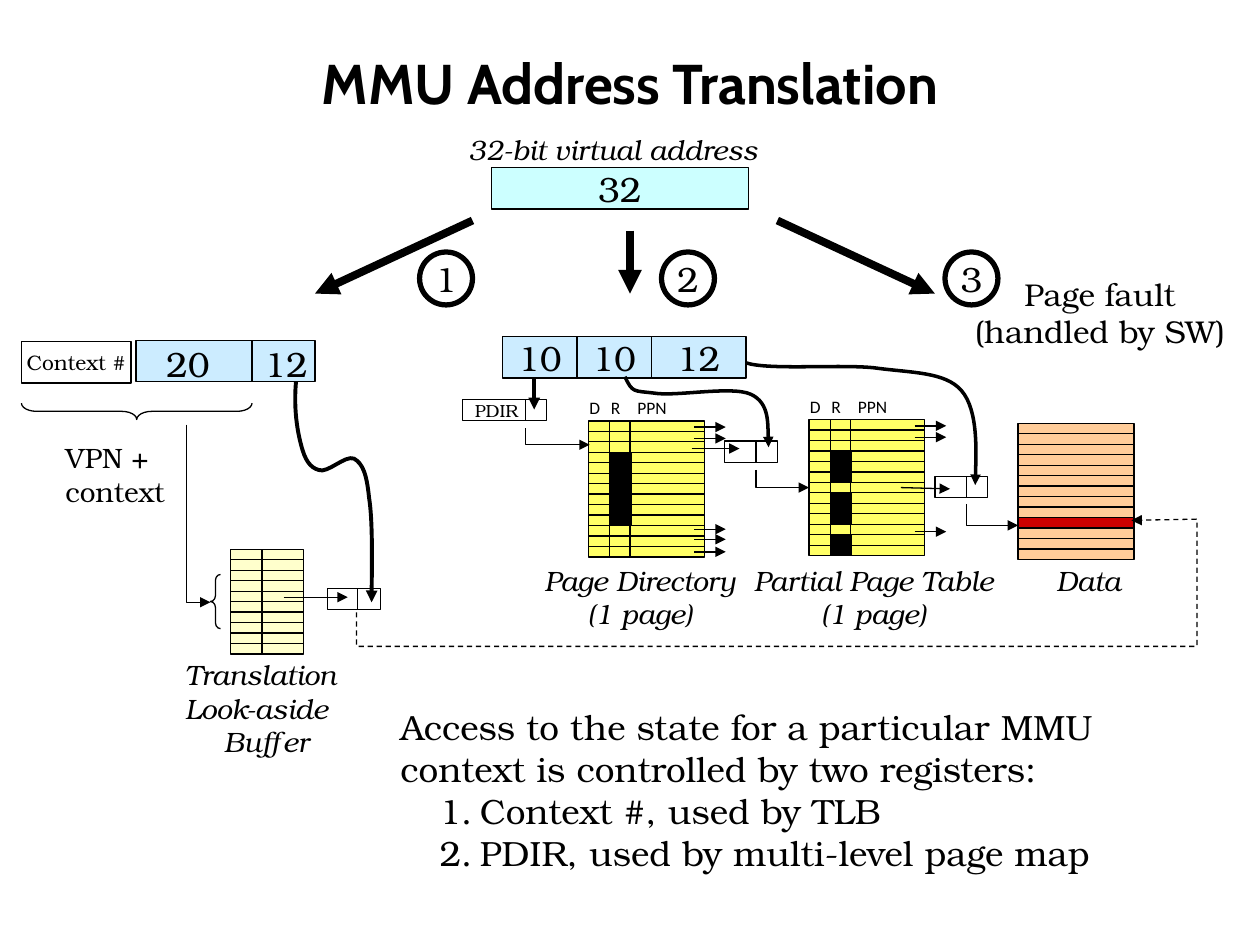
from lxml import etree
from pptx import Presentation
from pptx.dml.color import RGBColor
from pptx.enum.dml import MSO_LINE
from pptx.enum.shapes import MSO_CONNECTOR, MSO_SHAPE as Preset
from pptx.enum.text import MSO_ANCHOR as Anchor, MSO_AUTO_SIZE as AutoSize, PP_ALIGN as Align
from pptx.oxml.ns import qn
from pptx.util import Inches, Pt

SERIF = "TeX Gyre Bonum"
BLACK, WHITE, BLUE, YELLOW = "000000", "FFFFFF", "CCECFF", "FFFF66"
ROW = 1.08 / 13


def color(hex_code):
    """Turn a hex string into a colour."""
    return RGBColor.from_string(hex_code)


def write_text(shape, text, size=20, font=SERIF, bold=False, italic=False,
               align=Align.LEFT, anchor=Anchor.TOP, wrap=False, tabs=(), numbered=False):
    """Fill a shape with lines of text; with numbered, all but the first are list items."""
    frame = shape.text_frame
    frame.word_wrap, frame.vertical_anchor = wrap, anchor
    for index, line in enumerate(text.split("\n")):
        paragraph = frame.add_paragraph() if index else frame.paragraphs[0]
        paragraph.alignment = align
        properties = paragraph._p.get_or_add_pPr()
        if numbered and index:
            properties.set("marL", str(Inches(0.63)))
            properties.set("indent", str(Inches(-0.32)))
            etree.SubElement(properties, qn("a:buAutoNum"), type="arabicPeriod")
        if tabs:
            stops = etree.SubElement(properties, qn("a:tabLst"))
            for stop in tabs:
                etree.SubElement(stops, qn("a:tab"), pos=str(Inches(stop)), algn="l")
        run = paragraph.add_run()
        run.text = line
        run.font.name, run.font.size = font, Pt(size)
        run.font.bold, run.font.italic = bold, italic
        run.font.color.rgb = color(BLACK)


def add_label(slide, text, x, y, w, h, grow=True, **style):
    """Place free-standing text."""
    label = slide.shapes.add_textbox(Inches(x), Inches(y), Inches(w), Inches(h))
    write_text(label, text, **style)
    label.text_frame.auto_size = AutoSize.SHAPE_TO_FIT_TEXT if grow else AutoSize.NONE


def add_box(slide, x, y, w, h, fill=None, text="", kind=Preset.RECTANGLE, weight=0.75, **style):
    """Draw an outlined preset shape, with centred text if given."""
    box = slide.shapes.add_shape(kind, Inches(x), Inches(y), Inches(w), Inches(h))
    box.shadow.inherit = False
    if fill:
        box.fill.solid()
        box.fill.fore_color.rgb = color(fill)
    else:
        box.fill.background()
    box.line.color.rgb, box.line.width = color(BLACK), Pt(weight)
    if text:
        write_text(box, text, **{"align": Align.CENTER, "anchor": Anchor.MIDDLE, **style})
    return box


def add_head(line):
    """Put an arrowhead at the end of a line format."""
    etree.SubElement(line._get_or_add_ln(), qn("a:tailEnd"), type="triangle")


def add_line(slide, x1, y1, x2, y2, weight=0.75, arrow=False):
    """Draw a straight line or arrow."""
    line = slide.shapes.add_connector(
        MSO_CONNECTOR.STRAIGHT, Inches(x1), Inches(y1), Inches(x2), Inches(y2))
    line.line.color.rgb, line.line.width = color(BLACK), Pt(weight)
    etree.SubElement(line._element.spPr, qn("a:effectLst"))
    if arrow:
        add_head(line.line)


def add_route(slide, points, weight=0.75, curved=False, dashed=False):
    """Draw an arrow through points; a curved one takes three per Bezier segment."""
    start, *rest = [(Inches(x), Inches(y)) for x, y in points]
    builder = slide.shapes.build_freeform(*start)
    builder.add_line_segments(rest, close=False)
    route = builder.convert_to_shape()
    route.shadow.inherit = False
    route.fill.background()
    route.line.color.rgb, route.line.width = color(BLACK), Pt(weight)
    if dashed:
        route.line.dash_style = MSO_LINE.DASH
    add_head(route.line)
    if curved:
        steps = list(route._element.iter(qn("a:lnTo")))
        for first in range(0, len(steps), 3):
            bezier = etree.Element(qn("a:cubicBezTo"))
            steps[first].addprevious(bezier)
            for step in steps[first:first + 3]:
                bezier.append(step[0])
                step.getparent().remove(step)


def add_ruled_table(slide, x, y, w, rows, fill, columns=()):
    """Draw a memory table ruled into equal rows, with column rules at given offsets."""
    h = rows * ROW
    add_box(slide, x, y, w, h, fill)
    for row in range(1, rows):
        add_line(slide, x, y + row * ROW, x + w, y + row * ROW)
    for offset in columns:
        add_line(slide, x + offset, y, x + offset, y + h)


def add_page_table(slide, x, y, filled, pointers):
    """Draw a page table with its heading, blacked-out R rows and outgoing pointers."""
    add_ruled_table(slide, x, y, 0.92, 13, YELLOW, (0.17, 0.33))
    for first, count in filled:
        add_box(slide, x + 0.17, y + first * ROW, 0.17, count * ROW, BLACK)
    for offset in pointers:
        add_line(slide, x + 0.84, y + offset, x + 1.09, y + offset, arrow=True)
    add_label(slide, "D\tR\tPPN", x - 0.09, y - 0.24, 0.92, 0.27,
              size=10, font="Calibri", wrap=True, tabs=(0.17, 0.38))


def add_register(slide, x, y, w, split, **content):
    """Draw a small two-part register."""
    add_box(slide, x, y, w, 0.17, WHITE, **content)
    add_line(slide, x + split, y, x + split, y + 0.17)


def add_elbow(slide, x, y, right, bottom):
    """Draw an arrow that goes down and then right."""
    add_route(slide, [(x, y), (x, bottom), (right, bottom)])


def add_overview(slide):
    """Draw the title, the virtual address and its three numbered ways."""
    add_label(slide, "MMU Address Translation", 0.5, 0.3, 9, 0.7, grow=False, size=32,
              font="Cabin", bold=True, align=Align.CENTER, anchor=Anchor.MIDDLE, wrap=True)
    add_box(slide, 3.9, 1.33, 2.04, 0.33, "CCFFFF", "32")
    add_label(slide, "32-bit virtual address", 3.62, 1, 2.59, 0.37, size=16, italic=True)
    ways = [(3.75, 1.75, 2.5, 3.33), (5, 1.83, 5, 5.25), (6.17, 1.75, 7.42, 7.5)]
    for number, (x, y, end, badge) in enumerate(ways, 1):
        add_line(slide, x, y, end, 2.33, 4.5, arrow=True)
        add_box(slide, badge, 2, 0.42, 0.42, WHITE, str(number), Preset.OVAL, 3)
    add_label(slide, "Page fault\n(handled by SW)", 7.62, 2.13, 2.22, 0.71,
              size=18, align=Align.CENTER)
    add_label(slide, "Access to the state for a particular MMU context is controlled by two "
              "registers:\nContext #, used by TLB\nPDIR, used by multi-level page map",
              3.08, 5.55, 6.42, 1.45, wrap=True, numbered=True)


def add_tlb_lookup(slide):
    """Draw the look-up through the translation look-aside buffer."""
    add_box(slide, 0.17, 2.71, 0.87, 0.33, None, "Context #", size=12)
    add_box(slide, 1.08, 2.7, 1.42, 0.33, BLUE)
    add_line(slide, 2, 2.7, 2, 3.03)
    for bits, x in (("20", 1.22), ("12", 2)):
        add_label(slide, bits, x, 2.67, 0.55, 0.44)
    key_brace = add_box(slide, 1.02, 2.35, 0.13, 1.83, kind=Preset.RIGHT_BRACE)
    key_brace.rotation, key_brace.adjustments[0] = 90, 0.92
    add_label(slide, "VPN +\ncontext", 0.42, 3.45, 1.01, 0.64, size=16)
    add_elbow(slide, 1.48, 3.37, 1.67, 4.78)
    tlb_brace = add_box(slide, 1.67, 4.56, 0.08, 0.43, kind=Preset.LEFT_BRACE)
    tlb_brace.adjustments[0] = 0.58
    add_ruled_table(slide, 1.83, 4.36, 0.58, 10, "FFFFCC", (0.25,))
    add_register(slide, 2.6, 4.67, 0.42, 0.24)
    add_line(slide, 2.25, 4.74, 2.76, 4.74, arrow=True)
    add_route(slide, [(2.35, 3.03), (2.33, 3.24), (2.36, 3.42), (2.39, 3.53), (2.42, 3.65),
                      (2.46, 3.71), (2.53, 3.73), (2.6, 3.76), (2.74, 3.61), (2.81, 3.64),
                      (2.88, 3.68), (2.91, 3.76), (2.93, 3.95), (2.96, 4.14), (2.95, 4.61),
                      (2.95, 4.78)], 2.25, curved=True)
    for line, y, align in (("Translation\nLook-aside", 5.17, Align.LEFT),):
        add_label(slide, line, 1.37, y, 1.49, 0.64, size=16, italic=True, align=align, wrap=True)
    add_label(slide, "Buffer", 1.37, 5.7, 1.49, 0.37, size=16, italic=True, align=Align.CENTER)


def add_page_walk(slide):
    """Draw the walk from page directory through page table to the data page."""
    for bits, x, w in (("10", 3.99, 0.59), ("12", 5.17, 0.75), ("10", 4.58, 0.59)):
        add_box(slide, x, 2.67, w, 0.33, BLUE, bits)
    add_register(slide, 3.67, 3.17, 0.67, 0.5, text="PDIR", size=10, align=Align.LEFT)
    add_line(slide, 4.24, 3, 4.24, 3.25, 2.25, arrow=True)
    add_page_table(slide, 4.67, 3.34, [(3, 7)], (0.05, 0.14, 0.86, 0.94, 1.04))
    add_page_table(slide, 6.42, 3.33, [(3, 3), (7, 3), (11, 2)], (0.05, 0.14, 0.89))
    add_register(slide, 5.75, 3.5, 0.42, 0.25)
    add_register(slide, 7.42, 3.78, 0.42, 0.25)
    add_line(slide, 5.49, 3.56, 5.87, 3.56, arrow=True)
    add_line(slide, 7.15, 3.87, 7.54, 3.88, arrow=True)
    add_ruled_table(slide, 8.08, 3.36, 0.92, 13, "FFCC99")
    add_box(slide, 8.08, 3.36 + 9 * ROW, 0.92, ROW, "CC0000")
    for elbow in ((4.17, 3.4, 4.68, 3.53), (6, 3.73, 6.42, 3.87), (7.67, 4, 8.08, 4.17)):
        add_elbow(slide, *elbow)
    add_route(slide, [(4.96, 2.99), (5.02, 3.12), (5.03, 3.1), (5.19, 3.12), (5.36, 3.15),
                      (5.81, 3.06), (5.96, 3.13), (6.11, 3.2), (6.1, 3.55), (6.1, 3.55)],
              2, curved=True)
    add_route(slide, [(5.92, 2.88), (6.1, 2.94), (6.66, 2.89), (6.94, 2.92), (7.23, 2.96),
                      (7.5, 2.95), (7.63, 3.1), (7.77, 3.26), (7.74, 3.85), (7.74, 3.85)],
              2, curved=True)
    add_route(slide, [(2.83, 4.86), (2.83, 5.13), (9.5, 5.13), (9.5, 4.12), (8.98, 4.13)],
              dashed=True)
    for caption, x, w in (("Page Directory\n(1 page)", 4.17, 1.82),
                          ("Partial Page Table\n(1 page)", 5.85, 2.17), ("Data", 8.25, 0.78)):
        add_label(slide, caption, x, 4.42, w, 0.64, size=16, italic=True, align=Align.CENTER)


def main():
    """Build and save the slide."""
    deck = Presentation()
    deck.slide_width, deck.slide_height = Inches(10), Inches(7.5)
    slide = deck.slides.add_slide(deck.slide_layouts[6])
    add_overview(slide)
    add_tlb_lookup(slide)
    add_page_walk(slide)
    deck.save("out.pptx")


if __name__ == "__main__":
    main()
